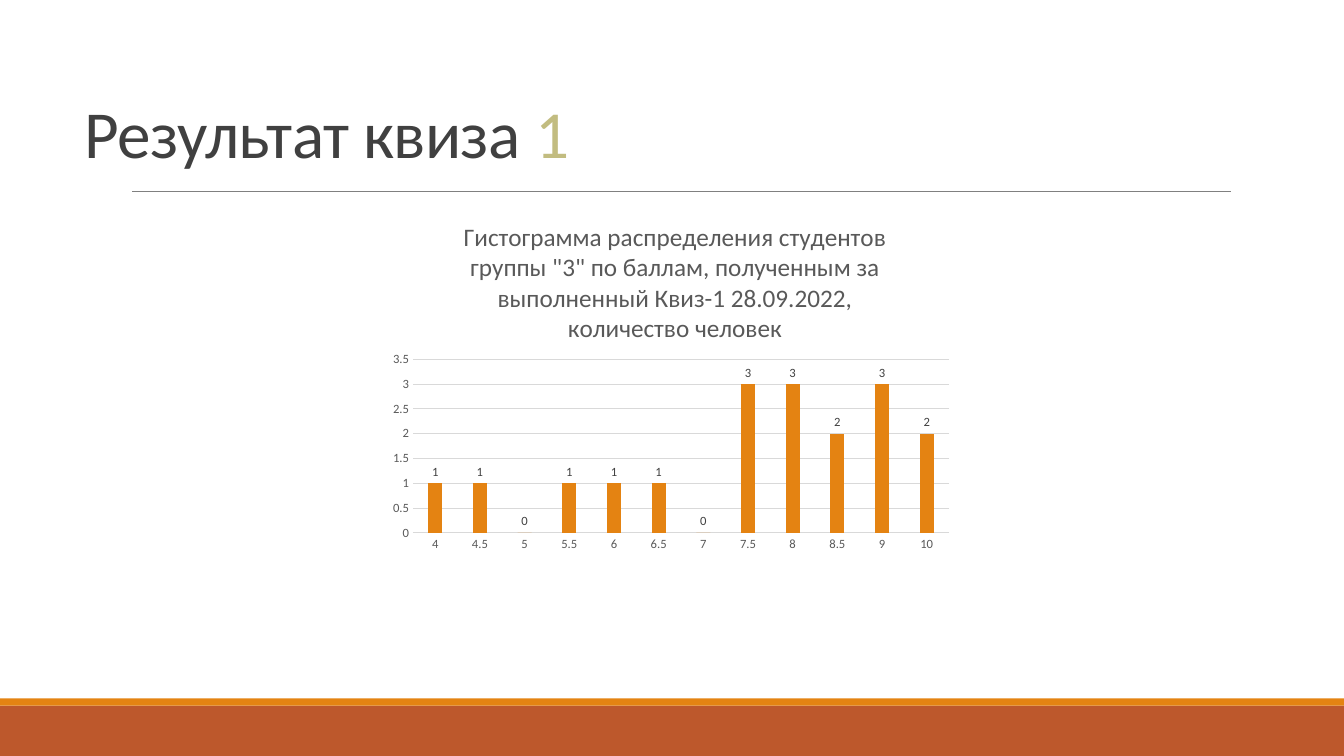
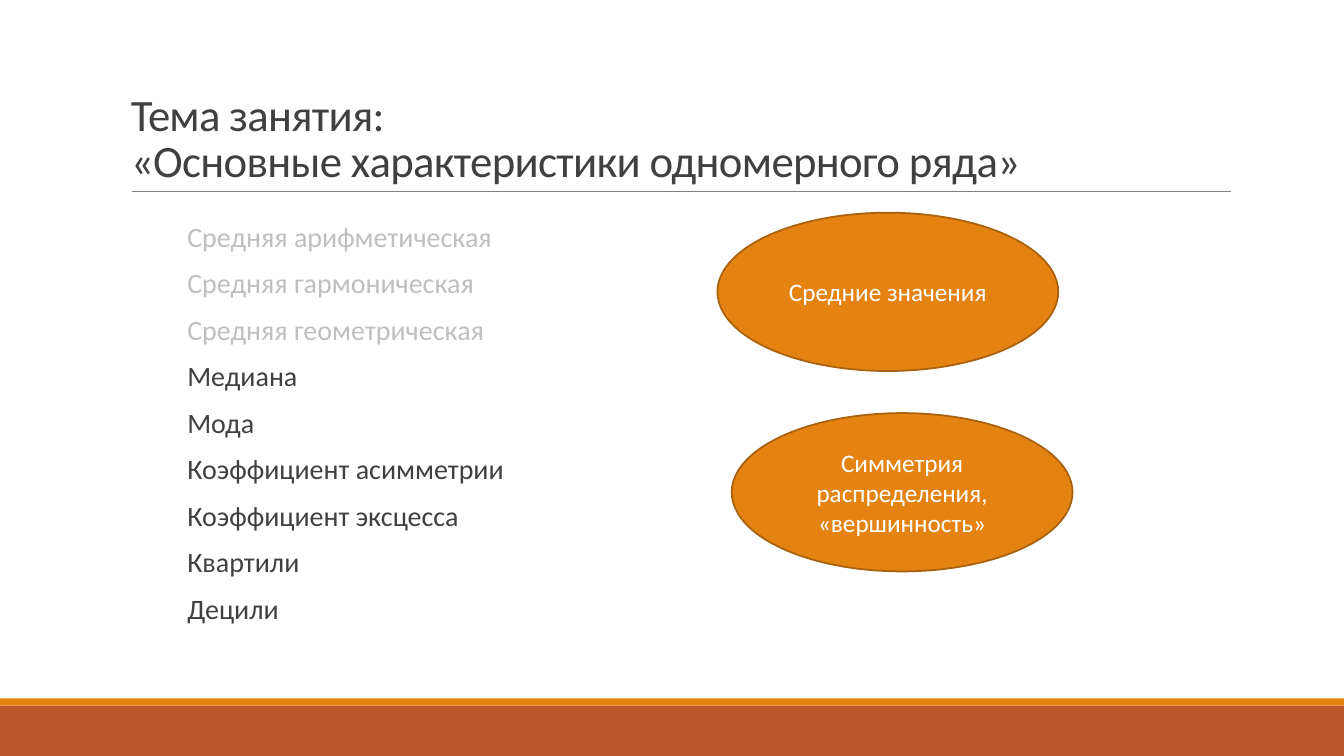
from dataclasses import dataclass

from lxml.etree import SubElement
from pptx import Presentation
from pptx.chart.data import CategoryChartData
from pptx.dml.color import RGBColor
from pptx.enum.chart import XL_CHART_TYPE, XL_LABEL_POSITION, XL_TICK_MARK
from pptx.enum.shapes import MSO_CONNECTOR, MSO_SHAPE
from pptx.enum.text import MSO_ANCHOR, PP_ALIGN
from pptx.oxml.ns import qn
from pptx.util import Cm, Pt


@dataclass(frozen=True)
class Theme:
    font: str = "Calibri"
    orange: str = "E48312"
    rust: str = "BD582C"
    outline: str = "A9610D"
    text: str = "404040"
    muted: str = "BFBFBF"
    olive: str = "C2BC80"
    chart_text: str = "595959"
    grid: str = "D9D9D9"
    rule: str = "808080"
    white: str = "FFFFFF"
    title_size: int = 48
    long_title_size: int = 32
    body_size: int = 20
    label_size: int = 18
    axis_size: int = 9


THEME = Theme()

# Content: a paragraph is a list of (text, colour) runs
SLIDE_WIDTH, SLIDE_HEIGHT = 33.87, 19.05
QUIZ_TITLE = [("Результат квиза ", THEME.text), ("1", THEME.olive)]
QUIZ_BOX = (1.88, 0.81, 31.22, 3.66)
CHART_BOX = (9.68, 4.95, 14.53, 9.12)
CHART_TITLE = (
    'Гистограмма распределения студентов группы "3" по баллам, '
    "полученным за выполненный Квиз-1 28.09.2022, количество человек"
)
STUDENTS_BY_SCORE = {
    "4": 1, "4.5": 1, "5": 0, "5.5": 1, "6": 1, "6.5": 1,
    "7": 0, "7.5": 3, "8": 3, "8.5": 2, "9": 3, "10": 2,
}
TITLE_LAYOUT = {"x": 0.13, "y": 0.05}
PLOT_LAYOUT = {"x": 0.05, "y": 0.45, "w": 0.93, "h": 0.48}

TOPIC_TITLE = [("Тема занятия:\n«Основные характеристики одномерного ряда»", THEME.text)]
TOPIC_BOX = (3.05, 0.79, 27.94, 4.04)
TOPICS_BOX = (4.47, 5.56, 23.88, 10.77)
COVERED_TOPICS = ["Средняя арифметическая", "Средняя гармоническая", "Средняя геометрическая"]
NEW_TOPICS = [
    "Медиана", "Мода", "Коэффициент асимметрии",
    "Коэффициент эксцесса", "Квартили", "Децили",
]
ELLIPSE_SIZE = (8.59, 3.99)
ELLIPSES = [
    ("Средние значения", 18.08, 5.36),
    ("Симметрия распределения, «вершинность»", 18.44, 10.41),
]


# Shared helpers
def lengths(box):
    return [Cm(value) for value in box]


def style_font(font, size, color):
    font.name = THEME.font
    font.size = Pt(size)
    font.bold = False
    font.color.rgb = RGBColor.from_string(color)


def write_text(frame, paragraphs, size, anchor=None, align=PP_ALIGN.LEFT,
               line_spacing=1.0, before=0, after=0, tracking=None):
    frame.word_wrap = True
    if anchor is not None:
        frame.vertical_anchor = anchor
    for index, runs in enumerate(paragraphs):
        paragraph = frame.add_paragraph() if index else frame.paragraphs[0]
        paragraph.alignment = align
        paragraph.line_spacing = line_spacing
        paragraph.space_before, paragraph.space_after = Pt(before), Pt(after)
        for text, color in runs:
            for line_index, line in enumerate(text.split("\n")):
                if line_index:
                    paragraph.add_line_break()
                run = paragraph.add_run()
                run.text = line
                style_font(run.font, size, color)
                if tracking is not None:
                    run._r.get_or_add_rPr().set("spc", str(tracking))


def add_filled_shape(slide, kind, box, color, outline=None):
    shape = slide.shapes.add_shape(kind, *lengths(box))
    shape.shadow.inherit = False
    shape.fill.solid()
    shape.fill.fore_color.rgb = RGBColor.from_string(color)
    if outline:
        shape.line.color.rgb = RGBColor.from_string(outline)
        shape.line.width = Pt(1.25)
    else:
        shape.line.fill.background()
    return shape


def add_framed_slide(presentation, title, box, size):
    """Blank slide with the footer bands, the rule and a title."""
    slide = presentation.slides.add_slide(presentation.slide_layouts[6])
    for top, height, color in [(17.78, 1.27, THEME.rust), (17.6, 0.18, THEME.orange)]:
        add_filled_shape(slide, MSO_SHAPE.RECTANGLE, (0, top, SLIDE_WIDTH, height), color)
    rule = slide.shapes.add_connector(MSO_CONNECTOR.STRAIGHT, *lengths((3.33, 4.83, 31.01, 4.83)))
    rule.line.color.rgb = RGBColor.from_string(THEME.rule)
    rule.line.width = Pt(0.5)
    SubElement(rule._element.spPr, qn("a:effectLst"))
    title_box = slide.shapes.add_textbox(*lengths(box))
    write_text(title_box.text_frame, [title], size, anchor=MSO_ANCHOR.BOTTOM,
               line_spacing=0.85, tracking=-50)
    return slide


# Chart
def set_layout(element, position, fractions, inner=False):
    """Place a chart part by fractions of the chart area."""
    layout = element.find(qn("c:layout"))
    if layout is not None:
        element.remove(layout)
    layout = element.makeelement(qn("c:layout"))
    element.insert(position, layout)
    manual = SubElement(layout, qn("c:manualLayout"))
    if inner:
        SubElement(manual, qn("c:layoutTarget")).set("val", "inner")
    for name in ("x", "y"):
        SubElement(manual, qn(f"c:{name}Mode")).set("val", "edge")
    for name, value in fractions.items():
        SubElement(manual, qn(f"c:{name}")).set("val", str(value))


def style_line(line, color):
    line.color.rgb = RGBColor.from_string(color)
    line.width = Pt(0.75)


def add_histogram(slide):
    data = CategoryChartData()
    data.categories = list(STUDENTS_BY_SCORE)
    data.add_series("Количество человек", list(STUDENTS_BY_SCORE.values()))
    chart = slide.shapes.add_chart(
        XL_CHART_TYPE.COLUMN_CLUSTERED, *lengths(CHART_BOX), data).chart
    chart.has_legend = False
    style_font(chart.font, 10, THEME.chart_text)

    chart.has_title = True
    write_text(chart.chart_title.text_frame, [[(CHART_TITLE, THEME.chart_text)]],
               THEME.label_size, align=PP_ALIGN.CENTER)
    chart_element = chart._chartSpace.chart
    set_layout(chart_element.find(qn("c:title")), 1, TITLE_LAYOUT)
    set_layout(chart_element.find(qn("c:plotArea")), 0, PLOT_LAYOUT, inner=True)

    for axis in (chart.category_axis, chart.value_axis):
        axis.major_tick_mark = axis.minor_tick_mark = XL_TICK_MARK.NONE
        style_font(axis.tick_labels.font, THEME.axis_size, THEME.chart_text)
    style_line(chart.category_axis.format.line, THEME.grid)
    value_axis = chart.value_axis
    value_axis.format.line.fill.background()
    value_axis.minimum_scale, value_axis.maximum_scale, value_axis.major_unit = 0, 3.5, 0.5
    style_line(value_axis.major_gridlines.format.line, THEME.grid)

    plot = chart.plots[0]
    plot.vary_by_categories = False
    plot.gap_width, plot.overlap = 219, -27
    fill = plot.series[0].format.fill
    fill.solid()
    fill.fore_color.rgb = RGBColor.from_string(THEME.orange)
    plot.has_data_labels = True
    plot.data_labels.show_value = True
    plot.data_labels.position = XL_LABEL_POSITION.OUTSIDE_END
    style_font(plot.data_labels.font, THEME.axis_size, THEME.text)


# Topics
def add_topics(slide):
    topics = slide.shapes.add_textbox(*lengths(TOPICS_BOX))
    paragraphs = [[(topic, THEME.muted)] for topic in COVERED_TOPICS]
    paragraphs += [[(topic, THEME.text)] for topic in NEW_TOPICS]
    write_text(topics.text_frame, paragraphs, THEME.body_size,
               line_spacing=0.8, before=12, after=2)
    for text, left, top in ELLIPSES:
        ellipse = add_filled_shape(slide, MSO_SHAPE.OVAL, (left, top, *ELLIPSE_SIZE),
                                   THEME.orange, outline=THEME.outline)
        write_text(ellipse.text_frame, [[(text, THEME.white)]], THEME.label_size,
                   anchor=MSO_ANCHOR.MIDDLE, align=PP_ALIGN.CENTER)


def main():
    presentation = Presentation()
    presentation.slide_width, presentation.slide_height = Cm(SLIDE_WIDTH), Cm(SLIDE_HEIGHT)
    add_histogram(add_framed_slide(presentation, QUIZ_TITLE, QUIZ_BOX, THEME.title_size))
    add_topics(add_framed_slide(presentation, TOPIC_TITLE, TOPIC_BOX, THEME.long_title_size))
    presentation.save("out.pptx")


if __name__ == "__main__":
    main()
